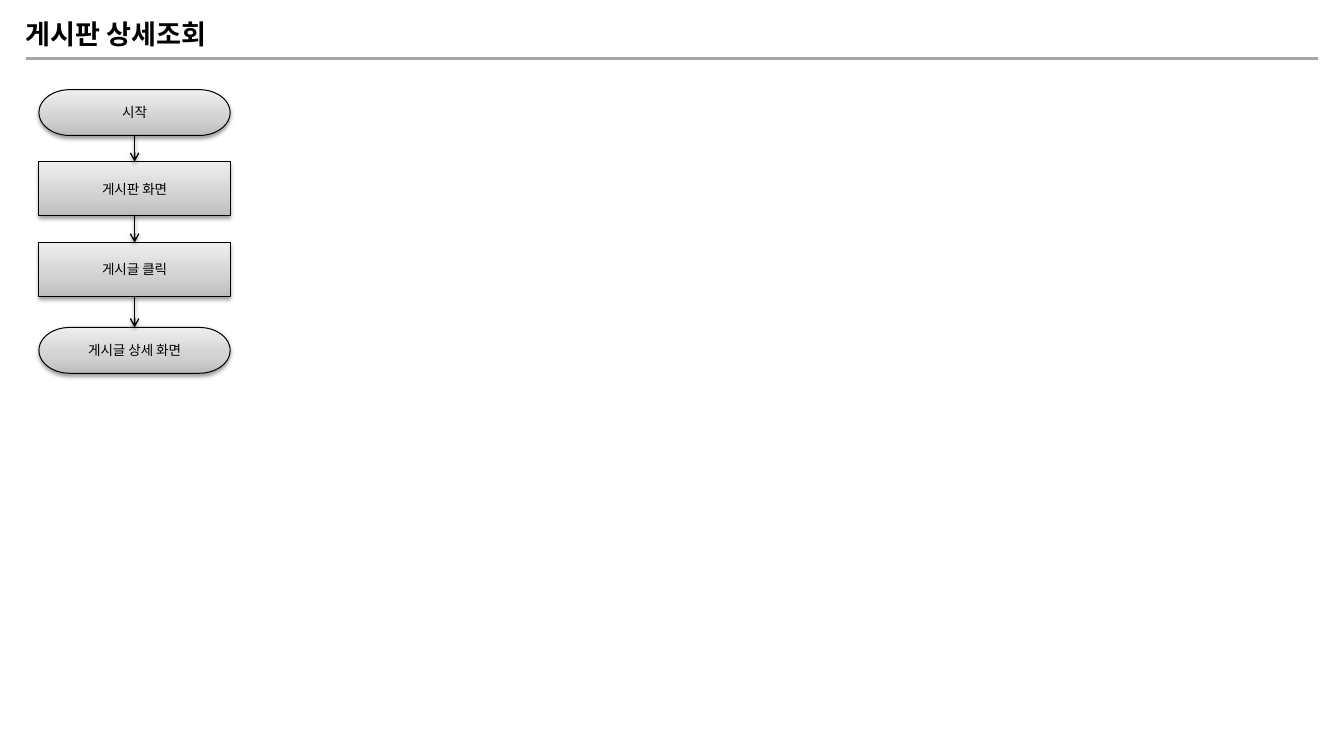
from itertools import pairwise
from pptx import Presentation
from pptx.dml.color import RGBColor
from pptx.enum.shapes import MSO_CONNECTOR, MSO_SHAPE
from pptx.enum.text import MSO_ANCHOR, PP_ALIGN
from pptx.oxml import parse_xml
from pptx.oxml.ns import nsdecls
from pptx.util import Inches, Pt

BLACK = RGBColor(0x00, 0x00, 0x00)
GRAY = RGBColor(0xA6, 0xA6, 0xA6)
DARK = RGBColor(0xBD, 0xBD, 0xBD)
MID = RGBColor(0xD1, 0xD1, 0xD1)
LIGHT = RGBColor(0xEE, 0xEE, 0xEE)
FONT = "Noto Sans CJK KR"
CELL = Inches(0.1)
BOTTOM, TOP = 2, 0


def node(tag, body="", **attrs):
    pairs = "".join(f' {key}="{value}"' for key, value in attrs.items())
    return parse_xml(f'<a:{tag} {nsdecls("a")}{pairs}>{body}</a:{tag}>')


def write(frame, text, size=10, bold=False, align=PP_ALIGN.CENTER,
          anchor=MSO_ANCHOR.MIDDLE, wrap=True):
    frame.word_wrap = wrap
    frame.vertical_anchor = anchor
    para = frame.paragraphs[0]
    para.alignment = align
    run = para.add_run()
    run.text = text
    font = run.font
    font.name, font.size, font.bold = FONT, Pt(size), bold
    font.color.rgb = BLACK
    font.fill._xPr.append(node("ea", typeface=FONT))


class Page:
    def __init__(self, deck):
        self.slide = deck.slides.add_slide(deck.slide_layouts[6])
        self.shapes = self.slide.shapes
        self.stops = ((0, DARK), (35, MID), (100, LIGHT))

    def grid(self, *cells):
        return [round(cell * CELL) for cell in cells]

    def shade(self, item):
        color = f'<a:srgbClr val="{BLACK}"><a:alpha val="38000"/></a:srgbClr>'
        cast = (f'<a:outerShdw blurRad="{Pt(3.1)}" dist="{Pt(1.6)}" '
                f'dir="5400000" rotWithShape="0">{color}</a:outerShdw>')
        item._element.spPr.append(node("effectLst", cast))

    def title(self, text, *place):
        box = self.shapes.add_textbox(*self.grid(*place))
        write(box.text_frame, text, size=20, bold=True, align=PP_ALIGN.LEFT,
              anchor=MSO_ANCHOR.TOP, wrap=False)

    def line(self, ends, color, width):
        item = self.shapes.add_connector(MSO_CONNECTOR.STRAIGHT, *self.grid(*ends))
        item.line.color.rgb = color
        item.line.width = Pt(width)
        return item

    def rule(self, *ends):
        item = self.line(ends, GRAY, 2)
        item._element.spPr.append(node("effectLst"))

    def step(self, text, kind, *place):
        item = self.shapes.add_shape(kind, *self.grid(*place))
        item.fill.gradient()
        item.fill.gradient_angle = 90
        stops = item._element.spPr.find(".//" + node("gsLst").tag)
        stops.clear()
        for share, color in self.stops:
            stops.append(node("gs", f'<a:srgbClr val="{color}"/>', pos=share * 1000))
        item.line.color.rgb = BLACK
        item.line.width = Pt(0.75)
        self.shade(item)
        write(item.text_frame, text)
        return item

    def arrow(self, start, end):
        item = self.line((0, 0, 0, 0), BLACK, 1)
        item.begin_connect(start, BOTTOM)
        item.end_connect(end, TOP)
        item.line._get_or_add_ln().append(node("tailEnd", type="arrow"))
        self.shade(item)


deck = Presentation()
deck.slide_width, deck.slide_height = Inches(13.78), Inches(7.5)
page = Page(deck)
page.rule(2.7, 6, 135.1, 6)
page.title("게시판 상세조회", 1.6, 1.3, 22.6, 4.4)

OVAL = MSO_SHAPE.FLOWCHART_TERMINATOR, 4.7
BOX = MSO_SHAPE.RECTANGLE, 5.5
flow = (
    ("시작", OVAL, 9.2),
    ("게시판 화면", BOX, 16.6),
    ("게시글 클릭", BOX, 24.9),
    ("게시글 상세 화면", OVAL, 33.6),
)
steps = [page.step(text, kind, 4, top, 19.6, high)
         for text, (kind, high), top in flow]
for start, end in pairwise(steps):
    page.arrow(start, end)

deck.save("out.pptx")
